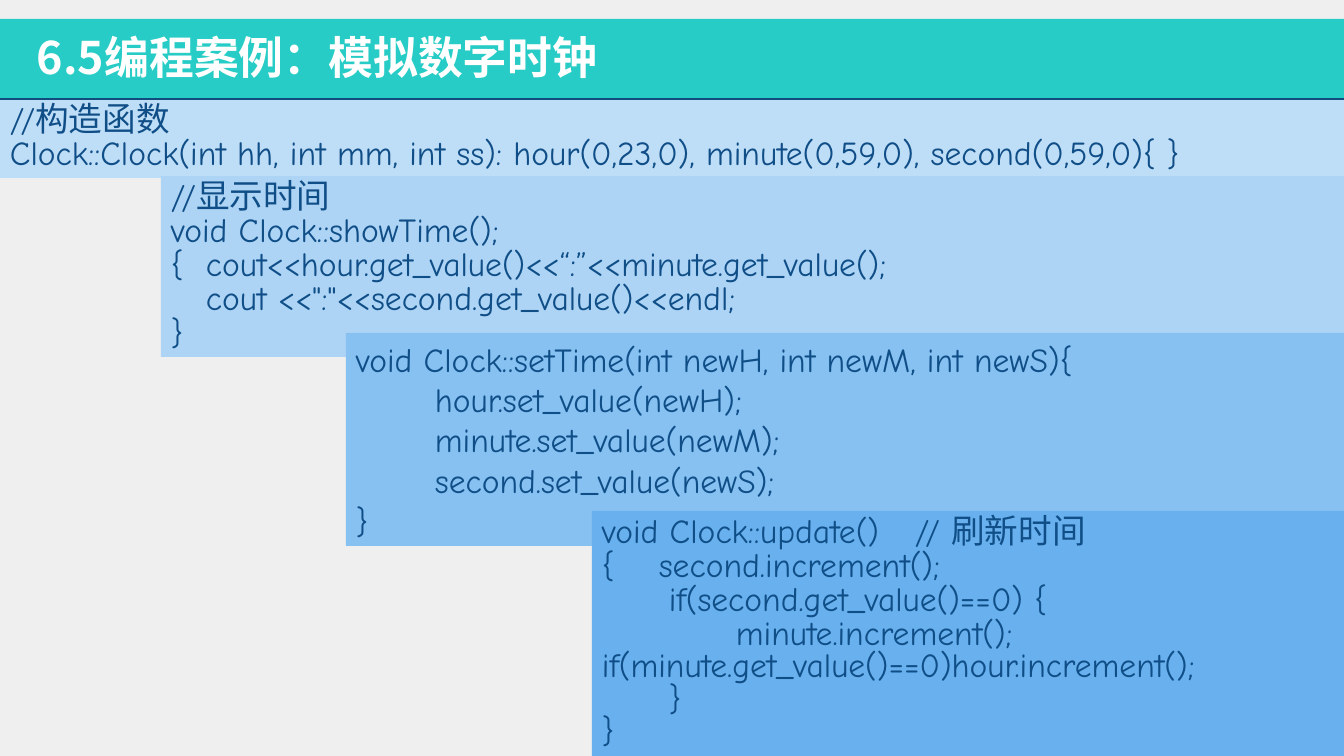
import pptx
import pptx.util
import pptx.dml.color
import pptx.enum.shapes
import pptx.enum.text
import pptx.oxml.ns
from lxml import etree

EMU_PER_PX = 914400 / 100.8
W, H = 1344, 756
COLORS = {"page": "EFEFEF", "banner": "26CCC5", "rule": "104D7E",
          "title": "FFFFFF", "code": "104E87",
          "construct": "BEDDF7", "show": "ADD4F5",
          "set": "87C1F1", "update": "68B1EE"}
CODE_FONT, CJK_FONT = "Comic Neue", "Noto Sans CJK JP"

# Each step: colour, box, default tab, tight line spacing, code lines.
# A line given as a pair has its own tab width.
STEPS = [
    ("construct", (0, 100, 1344, 78), 67, True, [
        "//构造函数",
        "Clock::Clock(int hh, int mm, int ss): hour(0,23,0), "
        "minute(0,59,0), second(0,59,0){ }"]),
    ("show", (161, 176, 1183, 181), 35, True, [
        "//显示时间",
        "void Clock::showTime();",
        "{\tcout<<hour.get_value()<<“:”<<minute.get_value();",
        "\tcout <<\":\"<<second.get_value()<<endl;",
        "}"]),
    ("set", (346, 333, 998, 213), 79, False, [
        "void Clock::setTime(int newH, int newM, int newS){",
        "\thour.set_value(newH);",
        "\tminute.set_value(newM);",
        "\tsecond.set_value(newS);",
        "}"]),
    ("update", (592, 511, 752, 245), 67, True, [
        ("void Clock::update()\t// 刷新时间", 313),
        ("{\tsecond.increment();", 57),
        "\tif(second.get_value()==0) {",
        "\t\tminute.increment();\vif(minute.get_value()==0)hour.increment();",
        "\t}",
        "}"]),
]


def px(n):
    return pptx.util.Emu(round(n * EMU_PER_PX))


def rgb(name):
    return pptx.dml.color.RGBColor.from_string(COLORS[name])


def add_rect(s, box, color):
    sp = s.shapes.add_shape(pptx.enum.shapes.MSO_SHAPE.RECTANGLE,
                            *map(px, box))
    sp.shadow.inherit = False
    sp.fill.solid()
    sp.fill.fore_color.rgb = rgb(color)
    sp.line.fill.background()
    return sp


def style_runs(p, font, size, color, bold=False):
    for r in p.runs:
        r.font.name = font
        r.font.size = pptx.util.Pt(size)
        r.font.bold = bold
        r.font.color.rgb = rgb(color)
        latin = r.font._element.find(pptx.oxml.ns.qn("a:latin"))
        ea = etree.Element(pptx.oxml.ns.qn("a:ea"), typeface=CJK_FONT)
        latin.addnext(ea)


def add_banner(s, box, title):
    x, y, w, h = box
    add_rect(s, box, "banner")
    # Rule under the banner
    line = s.shapes.add_connector(pptx.enum.shapes.MSO_CONNECTOR.STRAIGHT,
                                  px(x), px(y + h), px(x + w), px(y + h))
    line.line.color.rgb = rgb("rule")
    line.line.width = pptx.util.Pt(2)
    etree.SubElement(line._element.spPr, pptx.oxml.ns.qn("a:effectLst"))
    # Title
    tf = s.shapes.add_textbox(px(x + 27), px(y + 6), px(885),
                              px(65)).text_frame
    tf.word_wrap = True
    tf.text = title
    style_runs(tf.paragraphs[0], CJK_FONT, 32, "title", bold=True)


def add_code(s, box, color, tab, tight, lines):
    tf = add_rect(s, box, color).text_frame
    tf.word_wrap = True
    tf.vertical_anchor = pptx.enum.text.MSO_ANCHOR.MIDDLE
    for i, line in enumerate(lines):
        text, width = line if isinstance(line, tuple) else (line, tab)
        p = tf.paragraphs[0] if i == 0 else tf.add_paragraph()
        p.text = text
        p.alignment = pptx.enum.text.PP_ALIGN.LEFT
        p._p.get_or_add_pPr().set("defTabSz", str(px(width)))
        if tight:
            p.line_spacing = 0.8
            # Closing braces sit close together
            if text.strip() != "}" or color != "update":
                p.space_before = pptx.util.Pt(1.2)
        style_runs(p, CODE_FONT, 24, "code")


def build_slide(prs):
    s = prs.slides.add_slide(prs.slide_layouts[6])
    s.background.fill.solid()
    s.background.fill.fore_color.rgb = rgb("page")
    add_banner(s, (0, 19, W, 80), "6.5编程案例：模拟数字时钟")
    for color, box, tab, tight, lines in STEPS:
        add_code(s, box, color, tab, tight, lines)


def main():
    prs = pptx.Presentation()
    prs.slide_width, prs.slide_height = px(W), px(H)
    build_slide(prs)
    prs.save("out.pptx")


if __name__ == "__main__":
    main()
